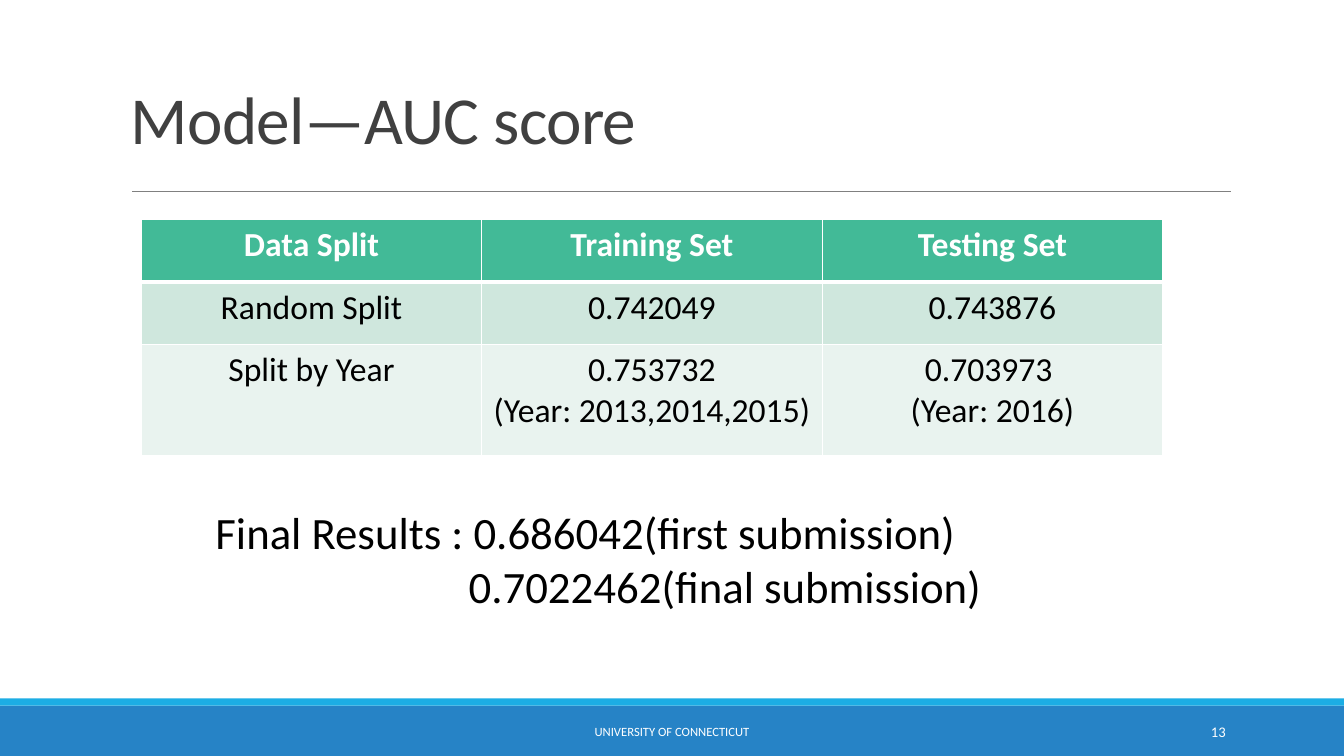
"""Build the slide with the AUC scores of the model."""
from lxml import etree
from pptx import Presentation
from pptx.dml.color import RGBColor
from pptx.enum.shapes import MSO_CONNECTOR, MSO_SHAPE
from pptx.enum.text import MSO_ANCHOR, PP_ALIGN
from pptx.oxml.ns import qn
from pptx.util import Cm, Pt

LEFT, CENTER, RIGHT = PP_ALIGN.LEFT, PP_ALIGN.CENTER, PP_ALIGN.RIGHT
TOP, MIDDLE, BOTTOM = MSO_ANCHOR.TOP, MSO_ANCHOR.MIDDLE, MSO_ANCHOR.BOTTOM
RECT, STRAIGHT = MSO_SHAPE.RECTANGLE, MSO_CONNECTOR.STRAIGHT

FONT = "Calibri"
WHITE = RGBColor(0xFF, 0xFF, 0xFF)
BLACK = RGBColor(0, 0, 0)
DARK = RGBColor(0x40, 0x40, 0x40)
GRAY = RGBColor(0x80, 0x80, 0x80)
BLUE = RGBColor(0x26, 0x83, 0xC6)
CYAN = RGBColor(0x1C, 0xAD, 0xE4)
ROW_FILLS = [RGBColor(0x42, 0xBA, 0x97), RGBColor(0xCF, 0xE7, 0xDD),
             RGBColor(0xE9, 0xF3, 0xEF)]

TITLE = "Model—AUC score"
FOOTER = "UNIVERSITY OF CONNECTICUT"
PAGE = "13"
SCORES = [
    [["Data Split"], ["Training Set"], ["Testing Set"]],
    [["Random Split"], ["0.742049"], ["0.743876"]],
    [["Split by Year"], ["0.753732", "(Year: 2013,2014,2015)"],
     ["0.703973 ", "(Year: 2016)"]],
]
RESULTS = ["Final Results : 0.686042(first submission)",
           "0.7022462(final submission)"]

WIDTH, HEIGHT = 33.87, 19.05
BARS = [(17.78, 1.27, BLUE), (17.6, 0.18, CYAN)]
COL_WIDTH = 8.58
ROW_HEIGHTS = [1.57, 1.57, 2.8]
RESULT_INDENT = 6.38


def write(tf, lines, size, color, align=LEFT, bold=False):
    for i, line in enumerate(lines):
        p = tf.paragraphs[0] if i == 0 else tf.add_paragraph()
        p.alignment = align
        r = p.add_run()
        r.text = line
        r.font.name, r.font.size, r.font.bold = FONT, Pt(size), bold
        r.font.color.rgb = color


def add_text(s, box, lines, size, color, align=LEFT, anchor=TOP):
    tf = s.shapes.add_textbox(*map(Cm, box)).text_frame
    tf.word_wrap = True
    tf.vertical_anchor = anchor
    write(tf, lines, size, color, align)
    return tf


def add_border(cell, side, width):
    ln = etree.SubElement(cell._tc.get_or_add_tcPr(), qn("a:" + side), w=str(Pt(width)))
    fill = etree.SubElement(ln, qn("a:solidFill"))
    etree.SubElement(fill, qn("a:srgbClr"), val=str(WHITE))


def add_scores(s):
    cols = len(SCORES[0])
    table = s.shapes.add_table(len(SCORES), cols, Cm(3.56), Cm(5.54),
                               Cm(COL_WIDTH * cols), Cm(sum(ROW_HEIGHTS))).table
    for col in table.columns:
        col.width = Cm(COL_WIDTH)
    for i, row in enumerate(SCORES):
        table.rows[i].height = Cm(ROW_HEIGHTS[i])
        header = i == 0
        for j, lines in enumerate(row):
            cell = table.cell(i, j)
            widths = {"lnL": 1, "lnR": 1, "lnT": 3 if i == 1 else 1,
                      "lnB": 3 if header else 1}
            for side, width in widths.items():
                add_border(cell, side, width)
            cell.fill.solid()
            cell.fill.fore_color.rgb = ROW_FILLS[i]
            write(cell.text_frame, lines, 24, WHITE if header else BLACK, CENTER, header)


def main():
    prs = Presentation()
    prs.slide_width, prs.slide_height = Cm(WIDTH), Cm(HEIGHT)
    s = prs.slides.add_slide(prs.slide_layouts[6])

    for top, height, color in BARS:
        sp = s.shapes.add_shape(RECT, 0, Cm(top), Cm(WIDTH), Cm(height))
        sp.shadow.inherit = False
        sp.fill.solid()
        sp.fill.fore_color.rgb = color
        sp.line.fill.background()

    rule = s.shapes.add_connector(STRAIGHT, Cm(3.33), Cm(4.83), Cm(31.01), Cm(4.83))
    rule.line.color.rgb = GRAY
    rule.line.width = Pt(0.5)
    etree.SubElement(rule._element.spPr, qn("a:effectLst"))

    tf = add_text(s, (3.05, 0.79, 27.94, 3.33), [TITLE], 48, DARK, anchor=BOTTOM)
    p = tf.paragraphs[0]
    p.line_spacing = 0.85
    p.runs[0].font._element.set("spc", "-50")

    add_text(s, (10.24, 17.93, 13.39, 1.02), [FOOTER], 9, WHITE, CENTER, MIDDLE)
    add_text(s, (27.51, 17.93, 3.63, 1.02), [PAGE], 10.5, WHITE, RIGHT, MIDDLE)
    add_scores(s)

    tf = add_text(s, (5.18, 12.6, 21.34, 3), RESULTS, 32, BLACK)
    tf.paragraphs[1]._p.get_or_add_pPr().set("marL", str(Cm(RESULT_INDENT)))

    prs.save("out.pptx")


if __name__ == "__main__":
    main()
